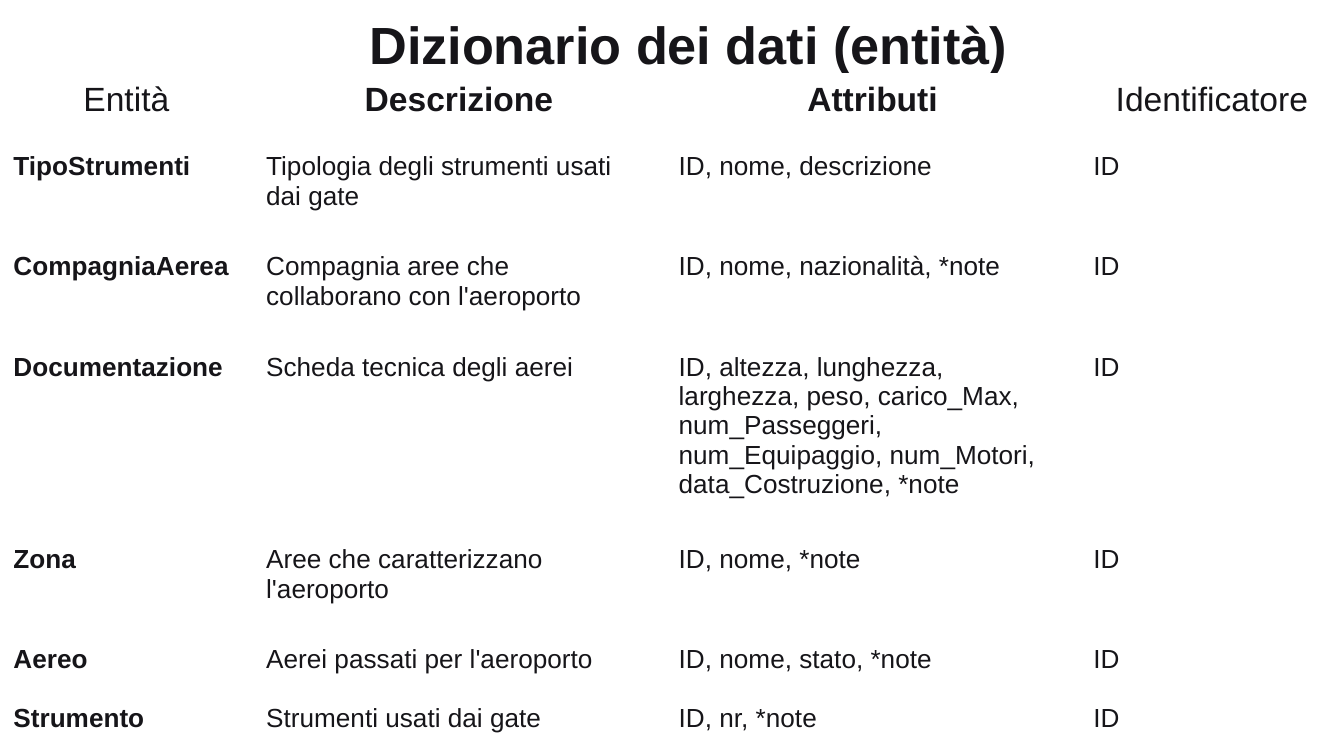
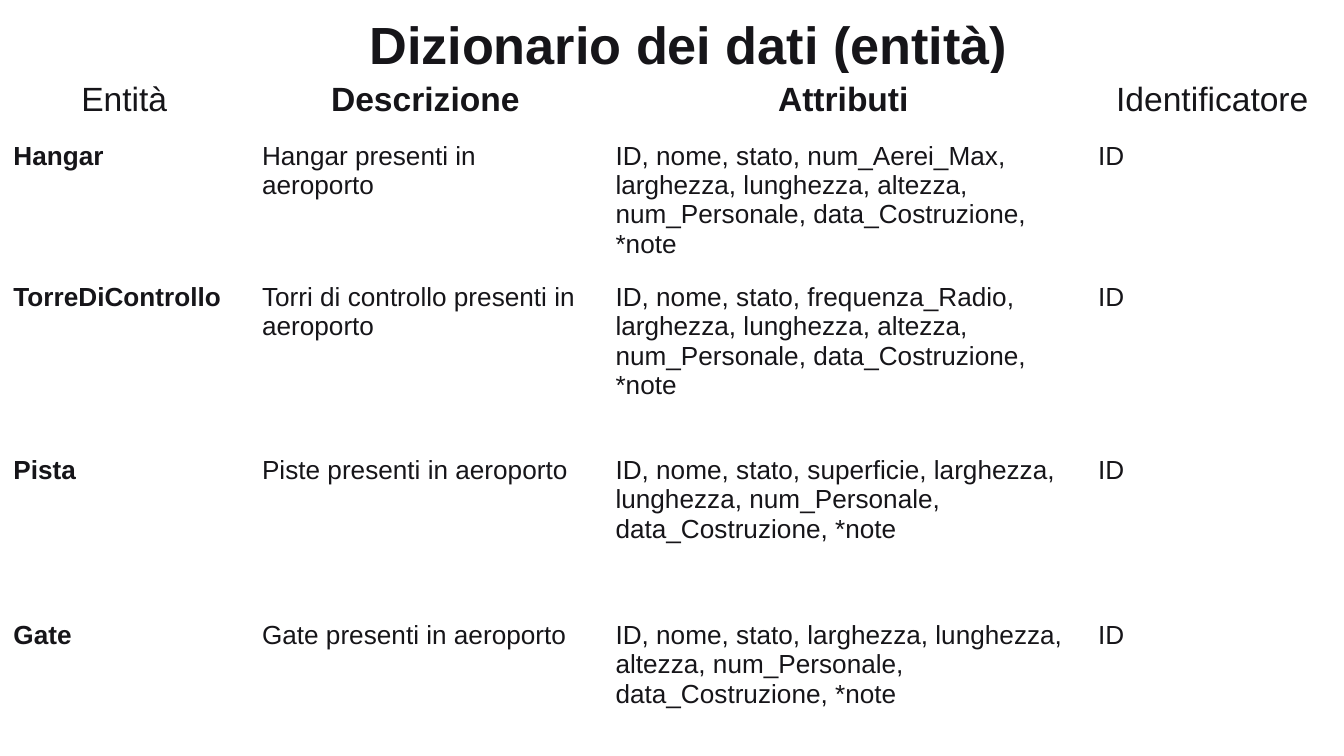
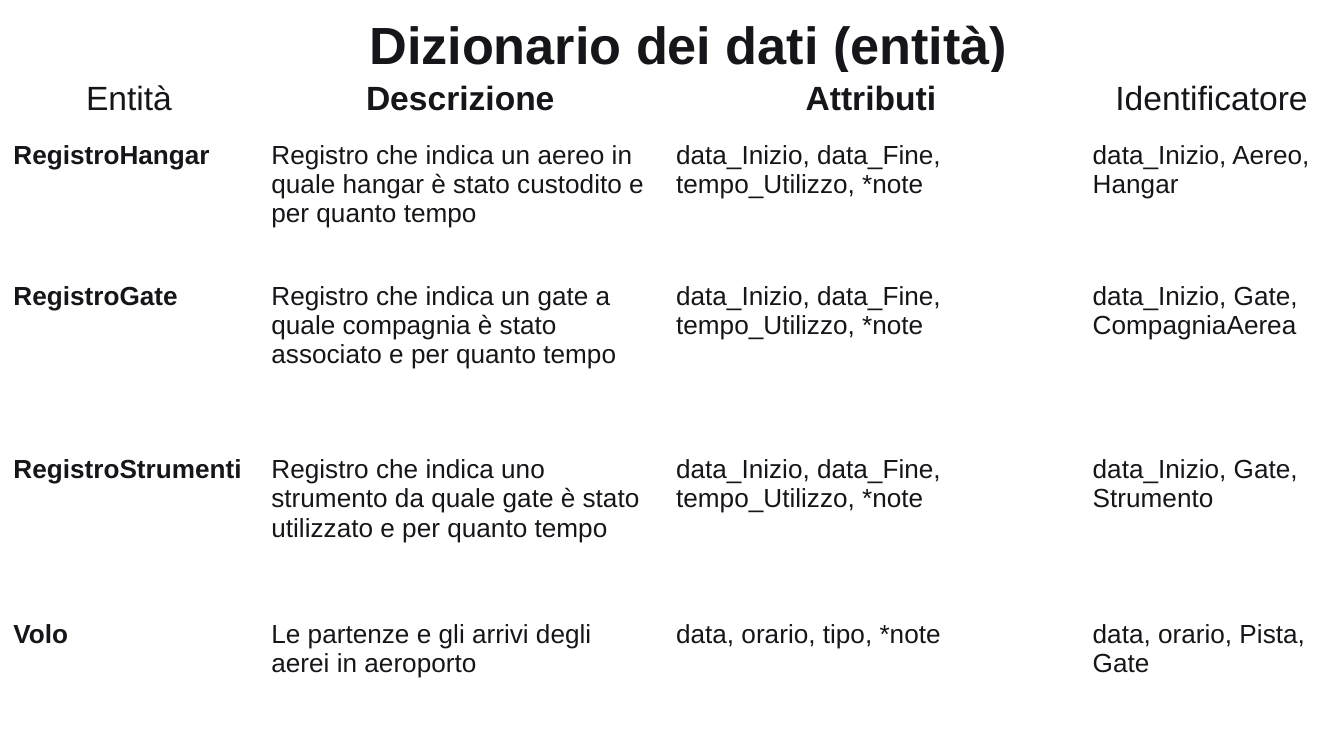
from lxml.etree import SubElement
from pptx import Presentation
from pptx.dml.color import RGBColor
from pptx.enum.text import MSO_ANCHOR, PP_ALIGN
from pptx.oxml.ns import qn
from pptx.util import Pt

INK = RGBColor(0x16, 0x15, 0x19)
WHITE = RGBColor(0xFF, 0xFF, 0xFF)
HEADER_RULE = RGBColor(0xE6, 0xEB, 0xE9)
FONT = "Arial"
SLIDE_SIZE = (720, 405)
TITLE = "Dizionario dei dati (entità)"
TITLE_BOX = (190.8, -3.6, 571, 41)
HEADERS = ("Entità", "Descrizione", "Attributi", "Identificatore")
BOLD_HEADERS = ("Descrizione", "Attributi")
BAND_ALPHA = 40000
USAGE = "data_Inizio, data_Fine, tempo_Utilizzo, *note"

ENTITIES = [
    ("TipoStrumenti", "Tipologia degli strumenti usati dai gate",
     "ID, nome, descrizione", "ID"),
    ("CompagniaAerea", "Compagnia aree che collaborano con l'aeroporto",
     "ID, nome, nazionalità, *note", "ID"),
    ("Documentazione", "Scheda tecnica degli aerei",
     "ID, altezza, lunghezza, larghezza, peso, carico_Max, num_Passeggeri, "
     "num_Equipaggio, num_Motori, data_Costruzione, *note", "ID"),
    ("Zona", "Aree che caratterizzano l'aeroporto", "ID, nome, *note", "ID"),
    ("Aereo", "Aerei passati per l'aeroporto", "ID, nome, stato, *note", "ID"),
    ("Strumento", "Strumenti usati dai gate", "ID, nr, *note", "ID"),
]
STRUCTURES = [
    ("Hangar", "Hangar presenti in aeroporto",
     "ID, nome, stato, num_Aerei_Max, larghezza, lunghezza, altezza, "
     "num_Personale, data_Costruzione, *note", "ID"),
    ("TorreDiControllo", "Torri di controllo presenti in aeroporto",
     "ID, nome, stato, frequenza_Radio, larghezza, lunghezza, altezza, "
     "num_Personale, data_Costruzione, *note", "ID"),
    ("Pista", "Piste presenti in aeroporto",
     "ID, nome, stato, superficie, larghezza, lunghezza, num_Personale, "
     "data_Costruzione, *note", "ID"),
    ("Gate", "Gate presenti in aeroporto",
     "ID, nome, stato, larghezza, lunghezza, altezza, num_Personale, "
     "data_Costruzione, *note", "ID"),
]
REGISTERS = [
    ("RegistroHangar",
     "Registro che indica un aereo in quale hangar è stato custodito e per quanto tempo",
     USAGE, "data_Inizio, Aereo, Hangar"),
    ("RegistroGate",
     "Registro che indica un gate a quale compagnia è stato associato e per quanto tempo",
     USAGE, "data_Inizio, Gate, CompagniaAerea"),
    ("RegistroStrumenti",
     "Registro che indica uno strumento da quale gate è stato utilizzato e per quanto tempo",
     USAGE, "data_Inizio, Gate, Strumento"),
    ("Volo", "Le partenze e gli arrivi degli aerei in aeroporto",
     "data, orario, tipo, *note", "data, orario, Pista, Gate"),
]
FIVE_ROWS = (32.6, 75.6, 92.8, 88.4, 75.6)
PAGES = [
    (ENTITIES, 39.6, (135.4, 221, 222.2, 141.4),
     (38.2, 53.7, 53.7, 103.2, 53.7, 31.6, 31.6)),
    (STRUCTURES, 39.6, (133.2, 189.4, 258.5, 136.8), FIVE_ROWS),
    (REGISTERS, 39, (138.2, 216.8, 223.2, 141.8), FIVE_ROWS),
]


def write(frame, text, size=14, bold=False, align=PP_ALIGN.LEFT):
    frame.word_wrap = True
    paragraph = frame.paragraphs[0]
    paragraph.alignment = align
    run = paragraph.add_run()
    run.text = text
    run.font.name = FONT
    run.font.size = Pt(size)
    run.font.bold = bold
    run.font.color.rgb = INK


def add_title(slide, box):
    frame = slide.shapes.add_textbox(*map(Pt, box)).text_frame
    frame.margin_left = frame.margin_right = frame.margin_bottom = Pt(7.2)
    frame.margin_top = Pt(10)
    frame.vertical_anchor = MSO_ANCHOR.TOP
    write(frame, TITLE, size=28, bold=True)


def set_borders(cell, bottom):
    properties = cell._tc.get_or_add_tcPr()
    for side, color in zip("LRTB", (WHITE, WHITE, WHITE, bottom)):
        line = SubElement(properties, qn(f"a:ln{side}"), w=str(Pt(0.75)))
        solid = SubElement(line, qn("a:solidFill"))
        SubElement(solid, qn("a:srgbClr"), val=str(color))


def fill_cell(cell, row_index):
    if row_index and row_index % 2 == 0:
        cell.fill.background()
        return
    cell.fill.solid()
    cell.fill.fore_color.rgb = WHITE
    if row_index:
        color = cell._tc.tcPr.find(qn("a:solidFill")).find(qn("a:srgbClr"))
        SubElement(color, qn("a:alpha"), val=str(BAND_ALPHA))


def add_dictionary(slide, records, box, widths, heights):
    table = slide.shapes.add_table(
        len(heights), len(widths), *map(Pt, box)).table
    table.first_row = table.horz_banding = False
    for column, width in zip(table.columns, widths):
        column.width = Pt(width)
    for row, height in zip(table.rows, heights):
        row.height = Pt(height)
    for row_index, record in enumerate([HEADERS, *records]):
        is_header = row_index == 0
        for column_index, text in enumerate(record):
            cell = table.cell(row_index, column_index)
            cell.margin_left = cell.margin_right = Pt(7.2)
            cell.margin_top = cell.margin_bottom = Pt(3.6)
            set_borders(cell, HEADER_RULE if is_header else WHITE)
            fill_cell(cell, row_index)
            if is_header:
                write(cell.text_frame, text, size=18,
                      bold=text in BOLD_HEADERS, align=PP_ALIGN.CENTER)
            else:
                write(cell.text_frame, text, bold=column_index == 0)


def add_page(presentation, records, top, widths, heights):
    slide = presentation.slides.add_slide(presentation.slide_layouts[6])
    slide.background.fill.solid()
    slide.background.fill.fore_color.rgb = WHITE
    add_title(slide, TITLE_BOX)
    box = (0, top, sum(widths), sum(heights))
    add_dictionary(slide, records, box, widths, heights)


def main():
    presentation = Presentation()
    presentation.slide_width, presentation.slide_height = map(Pt, SLIDE_SIZE)
    for page in PAGES:
        add_page(presentation, *page)
    presentation.save("out.pptx")


if __name__ == "__main__":
    main()
